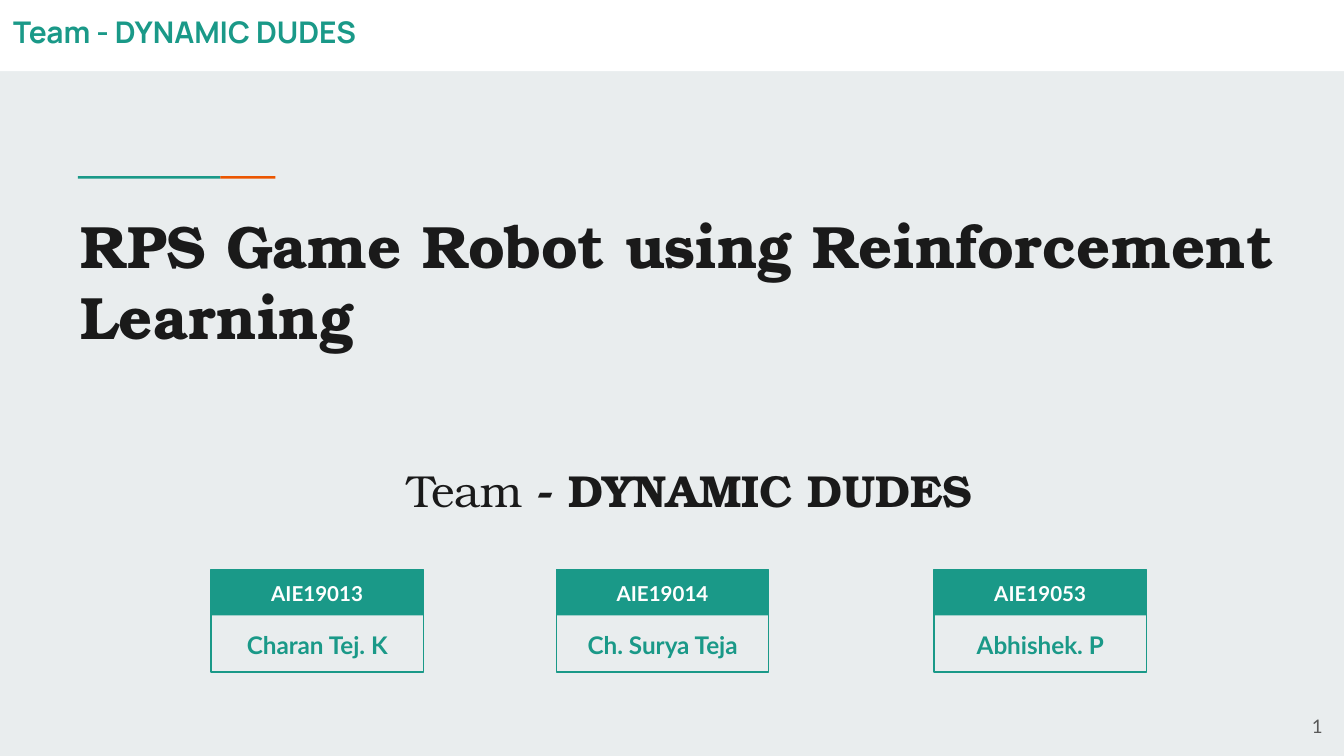
from dataclasses import dataclass
from pptx import Presentation
from pptx.dml.color import RGBColor
from pptx.enum.shapes import MSO_SHAPE
from pptx.enum.text import MSO_ANCHOR, MSO_AUTO_SIZE, PP_ALIGN
from pptx.util import Inches, Pt


@dataclass(frozen=True)
class Theme:
    back: str = "E9EDEE"
    white: str = "FFFFFF"
    teal: str = "1A9988"
    orange: str = "EB5600"
    ink: str = "1A1A1A"
    gray: str = "595959"
    serif: str = "TeX Gyre Bonum"
    sans: str = "Lato"
    brand: str = "Manrope"
    title: int = 32
    team: int = 24
    header: int = 16
    name: int = 13
    code: int = 11
    page: int = 10


THEME = Theme()


def color(code):
    return RGBColor.from_string(code)


def add_box(slide, x, y, w, h, fill=None, line=None):
    box = slide.shapes.add_shape(
        MSO_SHAPE.RECTANGLE, Inches(x), Inches(y), Inches(w), Inches(h))
    box.shadow.inherit = False
    if fill:
        box.fill.solid()
        box.fill.fore_color.rgb = color(fill)
    else:
        box.fill.background()
    if line:
        box.line.color.rgb = color(line)
        box.line.width = Pt(0.75)
    else:
        box.line.fill.background()


def add_run(para, text, size, font, tint, bold=True):
    run = para.add_run()
    run.text = text
    run.font.size = Pt(size)
    run.font.name = font
    run.font.bold = bold
    run.font.color.rgb = color(tint)


def set_frame(frame, anchor, align, inset=0.1, wrap=True):
    frame.auto_size = MSO_AUTO_SIZE.NONE
    frame.word_wrap = wrap
    frame.vertical_anchor = anchor
    frame.margin_left = frame.margin_right = Inches(0.1)
    frame.margin_top = frame.margin_bottom = Inches(inset)
    para = frame.paragraphs[0]
    para.alignment = align
    return para


def add_text(slide, x, y, w, h, align, anchor=MSO_ANCHOR.MIDDLE, **frame):
    box = slide.shapes.add_textbox(Inches(x), Inches(y), Inches(w), Inches(h))
    return set_frame(box.text_frame, anchor, align, **frame)


def add_title(slide, text):
    title = slide.shapes.title
    title.left, title.top = Inches(0.5), Inches(1.45)
    title.width, title.height = Inches(9.28), Inches(1.37)
    para = set_frame(title.text_frame, MSO_ANCHOR.TOP, PP_ALIGN.LEFT)
    add_run(para, text, THEME.title, THEME.serif, THEME.ink)


def add_header(slide, text):
    para = add_text(slide, 0, 0.05, 2.88, 0.37, PP_ALIGN.LEFT,
                    MSO_ANCHOR.TOP, inset=0.05, wrap=False)
    add_run(para, text, THEME.header, THEME.brand, THEME.teal)


def add_accent(slide):
    add_box(slide, 0.58, 1.31, 1.06, 0.02, THEME.teal)
    add_box(slide, 1.64, 1.31, 0.41, 0.02, THEME.orange)


def add_team(slide, label, team):
    para = add_text(slide, 1.57, 3.39, 6.86, 0.56,
                    PP_ALIGN.CENTER, MSO_ANCHOR.TOP)
    para.line_spacing = 0.9
    props = para._p.get_or_add_pPr()
    props.set("marL", str(Inches(0.5)))
    props.set("indent", str(Inches(-0.34)))
    add_run(para, label, THEME.team, THEME.serif, THEME.ink, False)
    add_run(para, team, THEME.team, THEME.serif, THEME.ink)


def add_card(slide, x, code, name):
    top, wide = 4.24, 1.58
    add_box(slide, x, top, wide, 0.76, line=THEME.teal)
    add_box(slide, x, top, wide, 0.34, THEME.teal)
    para = add_text(slide, x, top + 0.07, wide, 0.21, PP_ALIGN.CENTER)
    add_run(para, code, THEME.code, THEME.sans, THEME.white)
    para = add_text(slide, x, top + 0.45, wide, 0.21, PP_ALIGN.CENTER)
    add_run(para, name, THEME.name, THEME.sans, THEME.teal)


def add_page(slide, number):
    para = add_text(slide, 9.34, 5.19, 0.6, 0.43, PP_ALIGN.RIGHT)
    add_run(para, number, THEME.page, THEME.sans, THEME.gray, False)


def main():
    deck = Presentation()
    deck.slide_width = Inches(10)
    deck.slide_height = Inches(10 * 9 / 16)
    slide = deck.slides.add_slide(deck.slide_layouts[5])
    slide.background.fill.solid()
    slide.background.fill.fore_color.rgb = color(THEME.back)
    add_box(slide, 0, 0, 10, 0.53, THEME.white)
    add_accent(slide)
    add_title(slide, "RPS Game Robot using Reinforcement Learning")
    add_team(slide, " Team ", "- DYNAMIC DUDES")
    members = [
        (1.57, "AIE19013", "Charan Tej. K"),
        (4.14, "AIE19014", "Ch. Surya Teja"),
        (6.95, "AIE19053", "Abhishek. P"),
    ]
    for x, code, name in members:
        add_card(slide, x, code, name)
    add_page(slide, "1")
    add_header(slide, "Team - DYNAMIC DUDES")
    deck.save("out.pptx")


if __name__ == "__main__":
    main()
